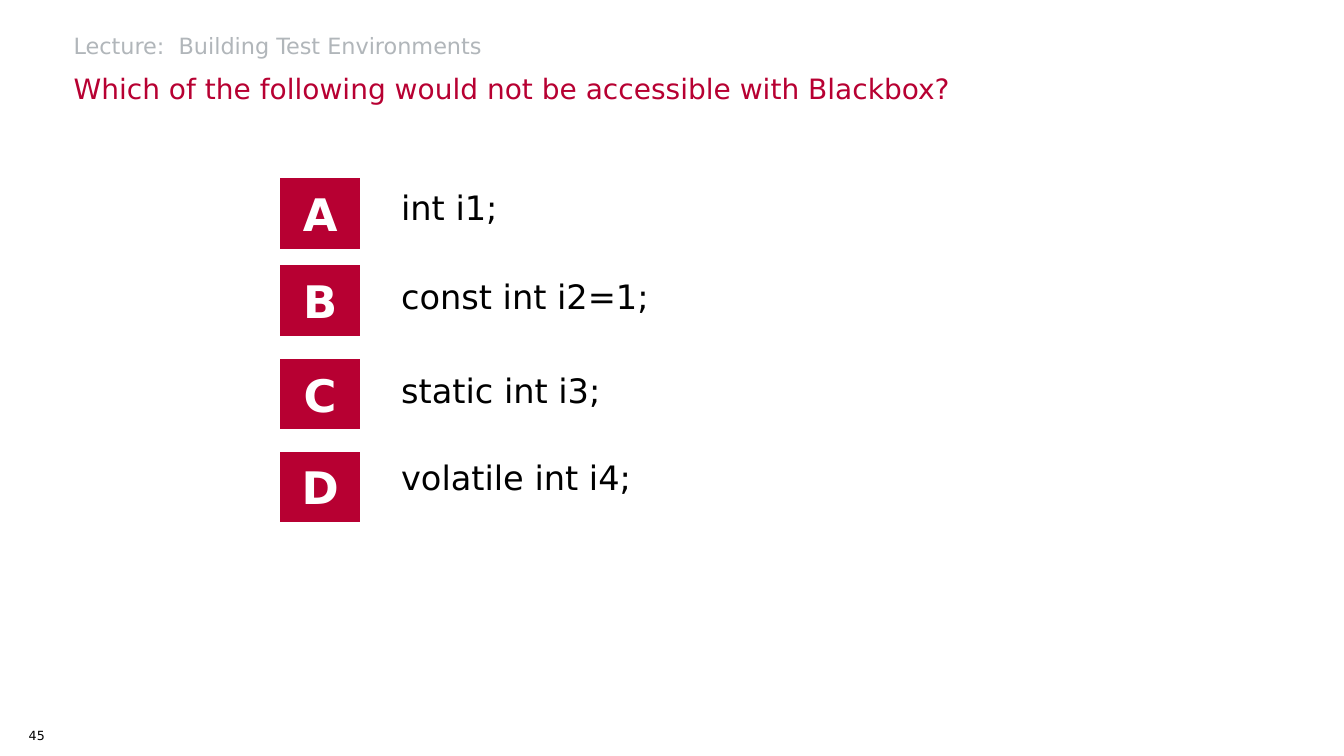
from pptx import Presentation
from pptx.dml.color import RGBColor
from pptx.enum.shapes import MSO_SHAPE as Shape
from pptx.enum.text import MSO_ANCHOR as Anchor, PP_ALIGN as Align
from pptx.util import Inches, Pt

LECTURE = "Lecture:  Building Test Environments"
QUESTION = "Which of the following would not be accessible with Blackbox?"
PAGE_NUMBER = "45"
ANSWERS = [
    ("A", "int i1;", 1.77, 1.81),
    ("B", "const int i2=1;", 2.63, 2.69),
    ("C", "static int i3;", 3.56, 3.62),
    ("D", "volatile int i4;", 4.48, 4.48),
]

THEME = {
    "font": "DejaVu Sans",
    "red": RGBColor.from_string("B70032"),
    "grey": RGBColor.from_string("B1B6BA"),
    "black": RGBColor.from_string("000000"),
    "white": RGBColor.from_string("FFFFFF"),
    "lecture": Pt(16),
    "question": Pt(20),
    "letter": Pt(32),
    "answer": Pt(24),
    "page": Pt(9),
}
HEADING_LEFT, HEADING_WIDTH = 0.73, 9.78
LETTER_LEFT, LETTER_WIDTH, LETTER_HEIGHT = 2.78, 0.79, 0.7
ANSWER_LEFT, ANSWER_WIDTH, ANSWER_HEIGHT = 3.88, 6.69, 0.5
NO_MARGINS = {
    "margin_left": 0, "margin_top": 0, "margin_right": 0, "margin_bottom": 0,
}


def write(holder, text, size, color, align=Align.LEFT, bold=False, **frame_format):
    frame = holder.text_frame
    for key, value in {"word_wrap": True, **frame_format}.items():
        setattr(frame, key, value)
    paragraph = frame.paragraphs[0]
    paragraph.alignment = align
    paragraph.space_before = Pt(0)
    run = paragraph.add_run()
    run.text = text
    font_format = {"name": THEME["font"], "size": THEME[size], "bold": bold}
    for key, value in font_format.items():
        setattr(run.font, key, value)
    run.font.color.rgb = THEME[color]
    return paragraph


def add_text(slide, box, *content, **text_format):
    holder = slide.shapes.add_textbox(*map(Inches, box))
    write(holder, *content, **text_format)


def add_letter(slide, letter, top):
    button = slide.shapes.add_shape(
        Shape.ACTION_BUTTON_CUSTOM,
        *map(Inches, (LETTER_LEFT, top, LETTER_WIDTH, LETTER_HEIGHT)),
    )
    button.shadow.inherit = False
    button.fill.solid()
    button.fill.fore_color.rgb = THEME["red"]
    button.line.fill.background()
    write(button, letter, "letter", "white", align=Align.CENTER, bold=True,
          vertical_anchor=Anchor.MIDDLE)


def add_lecture(slide):
    lecture = slide.shapes.title
    place = dict(left=HEADING_LEFT, top=0.28, width=HEADING_WIDTH, height=0.31)
    for key, value in place.items():
        setattr(lecture, key, Inches(value))
    paragraph = write(lecture, LECTURE, "lecture", "grey",
                      vertical_anchor=Anchor.BOTTOM, **NO_MARGINS)
    paragraph.line_spacing = 0.9


def main():
    deck = Presentation()
    deck.slide_width, deck.slide_height = Inches(13.33), Inches(7.5)
    slide = deck.slides.add_slide(deck.slide_layouts[5])
    add_lecture(slide)
    add_text(slide, (HEADING_LEFT, 0.69, HEADING_WIDTH, 0.35), QUESTION,
             "question", "red", vertical_anchor=Anchor.BOTTOM, **NO_MARGINS)
    for letter, answer, letter_top, answer_top in ANSWERS:
        add_letter(slide, letter, letter_top)
        add_text(slide, (ANSWER_LEFT, answer_top, ANSWER_WIDTH, ANSWER_HEIGHT),
                 answer, "answer", "black")
    add_text(slide, (0, 7.09, 0.73, 0.41), PAGE_NUMBER, "page", "black",
             align=Align.CENTER, vertical_anchor=Anchor.MIDDLE, **NO_MARGINS)
    deck.save("out.pptx")


if __name__ == "__main__":
    main()
